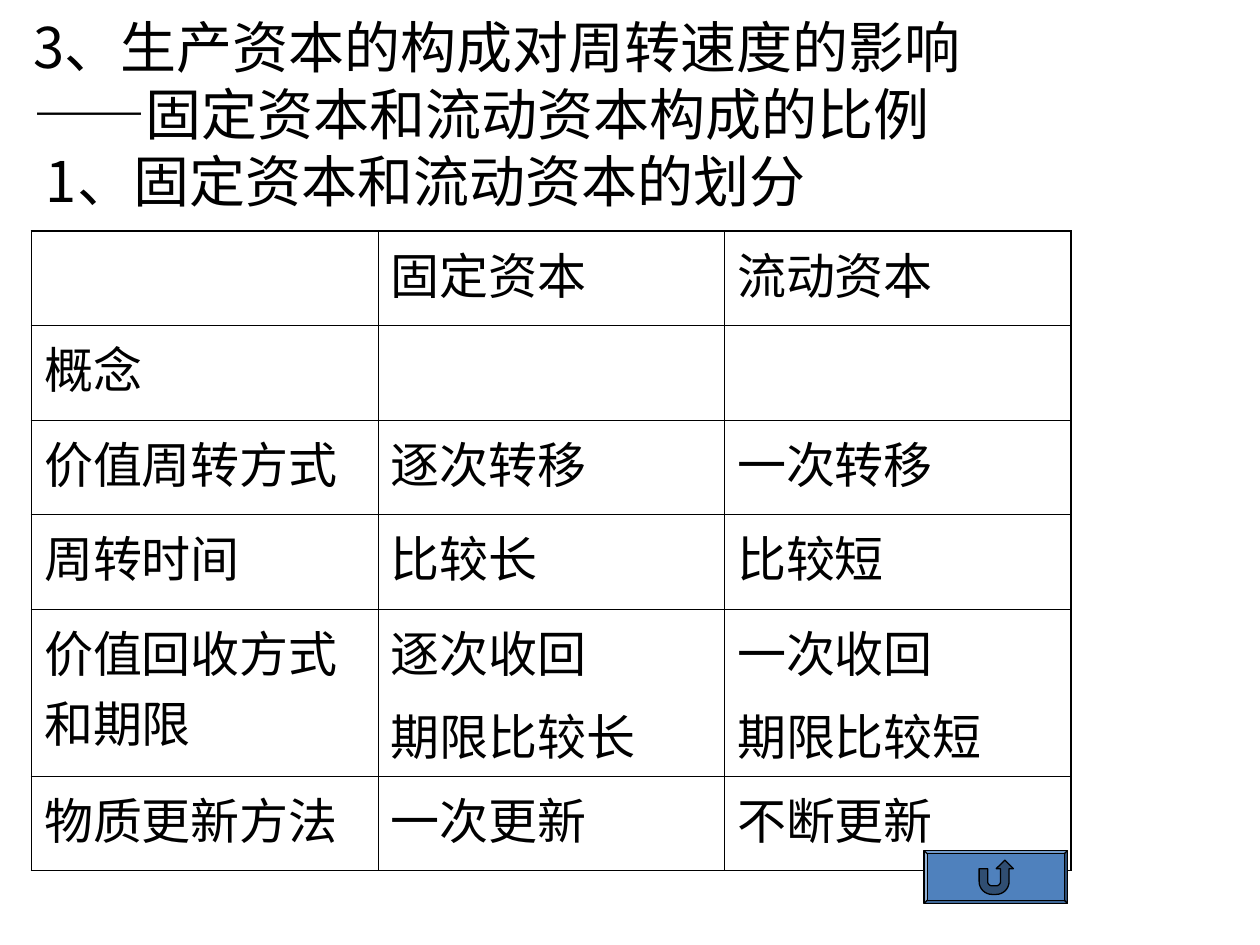
from math import cos, radians, sin

from lxml.etree import SubElement
from pptx import Presentation
from pptx.dml.color import RGBColor
from pptx.enum.shapes import MSO_SHAPE
from pptx.enum.text import MSO_ANCHOR
from pptx.oxml.ns import qn
from pptx.util import Pt

BLACK = RGBColor(0x00, 0x00, 0x00)
BLUE = RGBColor(0x4F, 0x81, 0xBD)
DARK_BLUE = RGBColor(0x30, 0x4E, 0x72)

CJK_FONT = "Noto Sans CJK SC"
LATIN_FONT = "Arial"
DASH_FONT = "Times New Roman"

INNER_BORDER, OUTER_BORDER = 0.45, 1.08

COLUMN_WIDTH = 198
ROW_HEIGHTS = [54, 54, 54, 54, 95.5, 54]
ROWS = [
    ["", "固定资本", "流动资本"],
    ["概念", "", ""],
    ["价值周转方式", "逐次转移", "一次转移"],
    ["周转时间", "比较长", "比较短"],
    ["价值回收方式和期限", "逐次收回\n期限比较长", "一次收回\n期限比较短"],
    ["物质更新方法", "一次更新", "不断更新"],
]

# Each title line is a list of (text, font) runs
TITLE_LINES = [
    [("3、生产资本的构成对周转速度的影响", CJK_FONT)],
    [("——", DASH_FONT), ("固定资本和流动资本构成的比例", CJK_FONT)],
    [(" 1、固定资本和流动资本的划分", CJK_FONT)],
]


def set_fonts(font, latin_name):
    font.name = latin_name
    SubElement(font._element, qn("a:ea")).set("typeface", CJK_FONT)


def add_title(slide):
    box = slide.shapes.add_textbox(Pt(12), Pt(3.6), Pt(588), Pt(122.4))
    frame = box.text_frame
    frame.word_wrap = True
    frame.vertical_anchor = MSO_ANCHOR.MIDDLE
    paragraph = frame.paragraphs[0]
    paragraph.font.size = Pt(32)
    paragraph.font.color.rgb = BLACK
    for index, line in enumerate(TITLE_LINES):
        if index:
            paragraph.add_line_break()
        for text, font_name in line:
            run = paragraph.add_run()
            run.text = text
            set_fonts(run.font, font_name)


def set_borders(cell, widths):
    properties = cell._tc.get_or_add_tcPr()
    for side, width in widths.items():
        line = SubElement(properties, qn(f"a:ln{side}"), w=str(Pt(width)))
        fill = SubElement(line, qn("a:solidFill"))
        SubElement(fill, qn("a:srgbClr"), val=str(BLACK))


def fill_cell(cell, text, font_name):
    cell.text = text
    for index, paragraph in enumerate(cell.text_frame.paragraphs):
        if index:
            paragraph.space_before = Pt(7)
        paragraph.font.size = Pt(28)
        paragraph.font.color.rgb = BLACK
        set_fonts(paragraph.font, font_name)


def add_comparison_table(slide):
    row_count, column_count = len(ROWS), len(ROWS[0])
    table = slide.shapes.add_table(
        row_count, column_count, Pt(18), Pt(132),
        Pt(COLUMN_WIDTH * column_count), Pt(sum(ROW_HEIGHTS)),
    ).table
    table.first_row = False
    table.horz_banding = False
    for column in table.columns:
        column.width = Pt(COLUMN_WIDTH)
    for row_index, texts in enumerate(ROWS):
        table.rows[row_index].height = Pt(ROW_HEIGHTS[row_index])
        for column_index, text in enumerate(texts):
            cell = table.cell(row_index, column_index)
            outer_sides = {
                "L": column_index == 0,
                "R": column_index == column_count - 1,
                "T": row_index == 0,
                "B": row_index == row_count - 1,
            }
            set_borders(cell, {
                side: OUTER_BORDER if outer else INNER_BORDER
                for side, outer in outer_sides.items()
            })
            cell.fill.background()
            if text:
                is_label = column_index == 0
                fill_cell(cell, text, CJK_FONT if is_label else LATIN_FONT)


def style_shape(shape, color):
    shape.shadow.inherit = False
    shape.fill.solid()
    shape.fill.fore_color.rgb = color
    shape.line.color.rgb = BLACK
    shape.line.width = Pt(0.75)


def arc_points(center_x, center_y, radius, start, end, steps=8):
    angles = [radians(start + (end - start) * i / steps) for i in range(steps + 1)]
    return [(center_x + radius * cos(a), center_y + radius * sin(a)) for a in angles]


def add_return_button(slide):
    # Beveled plate
    plate = slide.shapes.add_shape(
        MSO_SHAPE.BEVEL, Pt(528), Pt(486), Pt(82), Pt(30.24))
    plate.adjustments[0] = 0.06
    style_shape(plate, BLUE)

    # Return arrow: down the inside, around the head, back along the outside
    left, top, unit = 559.5, 491.5, 4.9
    shoulder, bend = top + unit, top + 2.5 * unit
    points = [(left, shoulder), (left + unit, shoulder)]
    points += arc_points(left + 1.5 * unit, bend, 0.5 * unit, 180, 90)
    points += arc_points(left + 2 * unit, bend, 0.5 * unit, 90, 0)
    points += [
        (left + 2.5 * unit, shoulder), (left + 2 * unit, shoulder),
        (left + 3 * unit, top),
        (left + 4 * unit, shoulder), (left + 3.5 * unit, shoulder),
    ]
    points += arc_points(left + 2 * unit, bend, 1.5 * unit, 0, 90)
    points += arc_points(left + 1.5 * unit, bend, 1.5 * unit, 90, 180)
    # Points are scaled so that rounding keeps the curves smooth
    precision = 100
    points = [(x * precision, y * precision) for x, y in points]
    builder = slide.shapes.build_freeform(*points[0], scale=Pt(1) / precision)
    builder.add_line_segments(points[1:], close=True)
    style_shape(builder.convert_to_shape(), DARK_BLUE)


def main():
    presentation = Presentation()
    presentation.slide_width = Pt(720)
    presentation.slide_height = Pt(540)
    slide = presentation.slides.add_slide(presentation.slide_layouts[6])
    add_title(slide)
    add_comparison_table(slide)
    add_return_button(slide)
    presentation.save("out.pptx")


if __name__ == "__main__":
    main()
